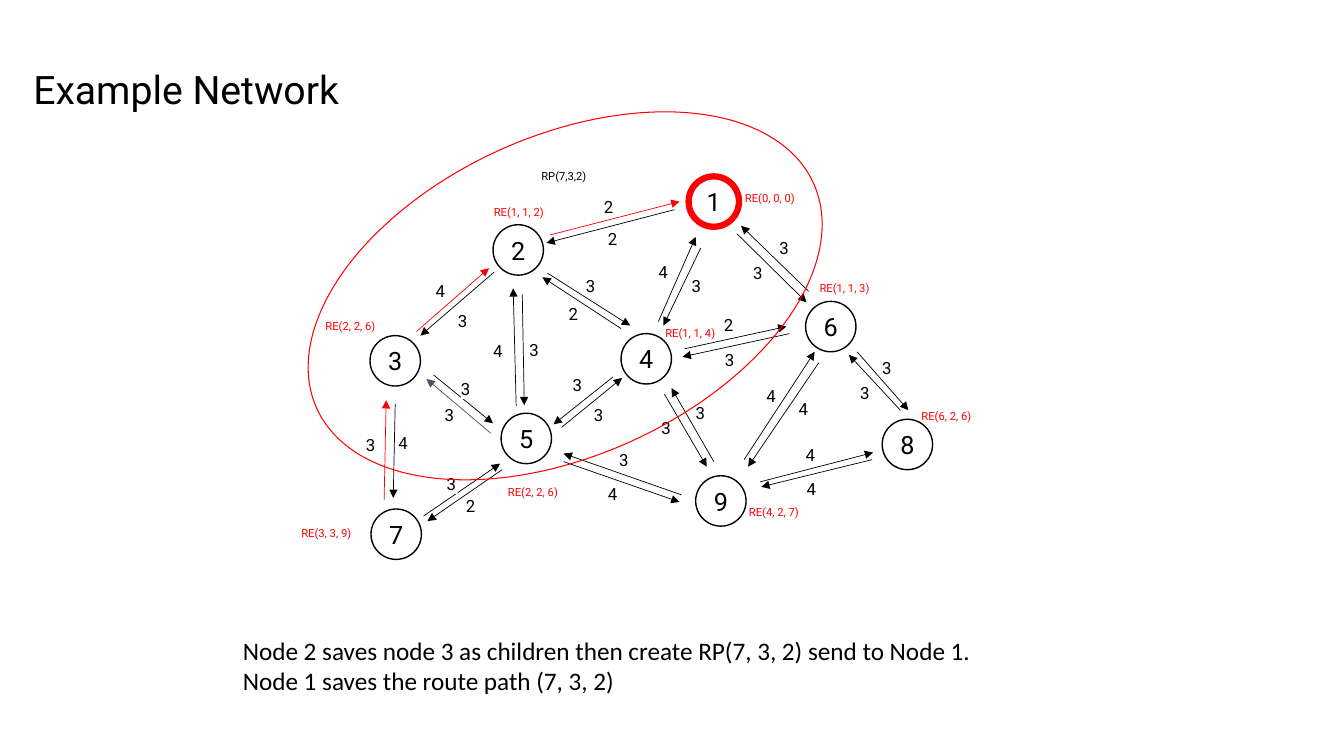
from dataclasses import dataclass

from lxml.etree import SubElement
from pptx import Presentation
from pptx.dml.color import RGBColor
from pptx.enum.shapes import MSO_CONNECTOR, MSO_SHAPE
from pptx.enum.text import MSO_ANCHOR, MSO_AUTO_SIZE, PP_ALIGN
from pptx.oxml.ns import qn
from pptx.util import Inches, Pt


@dataclass(frozen=True)
class Theme:
    """Colours, fonts and type sizes of the slide."""
    black: str = "000000"
    white: str = "FFFFFF"
    red: str = "FF0000"
    slate: str = "44546A"
    font: str = "Roboto"
    note_font: str = "Calibri"
    title_size: int = 28
    body_size: int = 18
    weight_size: int = 12
    route_size: int = 8


THEME = Theme()
NODE_SIZE = 0.5
ROOT = "1"

NODES = {
    "1": (6.83, 1.75), "2": (4.89, 2.23), "3": (3.67, 3.33),
    "4": (6.16, 3.31), "5": (4.97, 4.10), "6": (7.99, 2.99),
    "7": (3.68, 5.05), "8": (8.75, 4.16), "9": (6.90, 4.72),
}

# Link: (start, tip, weight, position of the weight)
LINKS = {
    "2>1": ((5.46, 2.33), (6.74, 2.00), 2, (5.99, 1.95)),
    "1>2": ((6.69, 2.08), (5.42, 2.41), 2, (6.03, 2.27)),
    "3>2": ((4.13, 3.29), (4.85, 2.66), 4, (4.32, 2.79)),
    "2>3": ((4.90, 2.70), (4.17, 3.33), 3, (4.54, 3.08)),
    "7>3": ((3.81, 4.96), (3.83, 3.97), 3, (3.63, 4.31)),
    "3>7": ((3.92, 4.01), (3.90, 4.94), 4, (3.95, 4.29)),
    "5>3": ((4.87, 4.30), (4.23, 3.76), 3, (4.41, 4.02)),
    "3>5": ((4.30, 3.72), (4.89, 4.20), 3, (4.57, 3.76)),
    "2>4": ((5.43, 2.71), (6.25, 3.23), 3, (5.81, 2.74)),
    "4>2": ((6.16, 3.26), (5.38, 2.75), 2, (5.64, 3.01)),
    "4>1": ((6.53, 3.19), (6.90, 2.35), 4, (6.53, 2.60)),
    "1>4": ((6.95, 2.46), (6.58, 3.23), 3, (6.86, 2.74)),
    "1>6": ((7.31, 2.32), (8.00, 3.00), 3, (7.47, 2.61)),
    "6>1": ((8.02, 2.89), (7.35, 2.24), 3, (7.73, 2.36)),
    "4>5": ((6.08, 3.74), (5.49, 4.21), 3, (5.68, 3.72)),
    "5>4": ((5.57, 4.24), (6.17, 3.75), 3, (5.89, 4.02)),
    "4>6": ((6.79, 3.46), (7.80, 3.24), 2, (7.18, 3.12)),
    "6>4": ((7.83, 3.31), (6.77, 3.54), 3, (7.19, 3.47)),
    "6>8": ((8.50, 3.49), (9.01, 4.07), 3, (8.75, 3.55)),
    "8>6": ((8.93, 4.07), (8.42, 3.52), 3, (8.53, 3.80)),
    "8>9": ((8.65, 4.56), (7.55, 4.83), 4, (8.00, 4.75)),
    "9>8": ((7.54, 4.78), (8.66, 4.49), 4, (7.99, 4.41)),
    "9>4": ((7.08, 4.58), (6.66, 3.85), 3, (6.90, 4.00)),
    "4>9": ((6.59, 3.91), (7.01, 4.63), 3, (6.56, 4.14)),
    "9>5": ((6.76, 4.91), (5.59, 4.50), 3, (6.14, 4.46)),
    "5>9": ((5.59, 4.58), (6.74, 4.98), 4, (6.03, 4.80)),
    "7>5": ((4.20, 5.12), (4.96, 4.60), 3, (4.43, 4.70)),
    "5>7": ((4.98, 4.66), (4.24, 5.17), 2, (4.62, 4.92)),
    "9>6": ((7.38, 4.56), (8.08, 3.49), 4, (7.60, 3.83)),
    "6>9": ((8.12, 3.60), (7.42, 4.63), 4, (7.92, 3.96)),
    "5>2": ((5.12, 4.03), (5.09, 2.86), 4, (4.89, 3.38)),
    "2>5": ((5.18, 2.92), (5.20, 4.02), 3, (5.25, 3.37)),
}
LINK_COLORS = {"2>1": THEME.red, "3>2": THEME.red, "7>3": THEME.red,
               "5>3": THEME.slate}

ROUTE_ENTRIES = [
    ("RE(0, 0, 0)", 7.29, 1.84), ("RE(1, 1, 2)", 4.80, 1.98),
    ("RE(2, 2, 6)", 3.13, 3.11), ("RE(1, 1, 4)", 6.50, 3.18),
    ("RE(2, 2, 6)", 4.94, 4.76), ("RE(1, 1, 3)", 8.03, 2.74),
    ("RE(3, 3, 9)", 2.89, 5.17), ("RE(6, 2, 6)", 9.04, 4.01),
    ("RE(4, 2, 7)", 7.33, 4.96),
]
NOTES = [
    "Node 2 saves node 3 as children then create RP(7, 3, 2) send to Node 1.",
    "Node 1 saves the route path (7, 3, 2)",
]


def write_text(shape, *lines, size, color=THEME.black, font=THEME.font,
               align=PP_ALIGN.LEFT, anchor=MSO_ANCHOR.MIDDLE,
               wrap=False, fit=True, inset=None):
    """Fill a shape with one formatted paragraph per line."""
    frame = shape.text_frame
    frame.word_wrap = wrap
    frame.auto_size = MSO_AUTO_SIZE.SHAPE_TO_FIT_TEXT if fit else MSO_AUTO_SIZE.NONE
    frame.vertical_anchor = anchor
    if inset is not None:
        frame.margin_left = frame.margin_right = Inches(inset)
        frame.margin_top = frame.margin_bottom = Inches(inset)
    for index, line in enumerate(lines):
        para = frame.add_paragraph() if index else frame.paragraphs[0]
        para.alignment = align
        span = para.add_run()
        span.text = line
        span.font.size = Pt(size)
        span.font.name = font
        span.font.color.rgb = RGBColor.from_string(color)


def add_box(page, left, top, width, height):
    """Add an empty text box."""
    return page.shapes.add_textbox(
        Inches(left), Inches(top), Inches(width), Inches(height))


def add_preset(page, kind, left, top, width, height,
               fill=None, line=None, line_width=1):
    """Add a preset shape without shadow."""
    shape = page.shapes.add_shape(
        kind, Inches(left), Inches(top), Inches(width), Inches(height))
    shape.shadow.inherit = False
    if fill:
        shape.fill.solid()
        shape.fill.fore_color.rgb = RGBColor.from_string(fill)
    else:
        shape.fill.background()
    if line:
        shape.line.color.rgb = RGBColor.from_string(line)
        shape.line.width = Pt(line_width)
    else:
        shape.line.fill.background()
    return shape


def add_node(page, name, left, top):
    """Add a numbered network node; the root has a thick red ring."""
    color, width = (THEME.red, 4.5) if name == ROOT else (THEME.black, 1)
    node = add_preset(page, MSO_SHAPE.OVAL, left, top, NODE_SIZE, NODE_SIZE,
                      THEME.white, color, width)
    write_text(node, name, size=THEME.body_size, align=PP_ALIGN.CENTER,
               fit=False, inset=0)


def add_arrow(page, start, tip, color):
    """Add a thin arrow that points at its tip."""
    arrow = page.shapes.add_connector(
        MSO_CONNECTOR.STRAIGHT, *(Inches(value) for value in start + tip))
    arrow.line.width = Pt(0.5)
    arrow.line.color.rgb = RGBColor.from_string(color)
    SubElement(arrow.line._get_or_add_ln(), qn("a:tailEnd"), type="triangle")
    SubElement(arrow._element.spPr, qn("a:effectLst"))


def add_weight(page, weight, left, top):
    """Add the weight of a link on a white patch."""
    patch = add_preset(page, MSO_SHAPE.RECTANGLE, left, top, 0.11, 0.2, THEME.white)
    write_text(patch, str(weight), size=THEME.weight_size, inset=0)


def add_title(page, text):
    """Move and fill the title placeholder."""
    title = page.shapes.title
    title.left, title.top = Inches(0.23), Inches(0.6)
    title.width, title.height = Inches(3.67), Inches(0.57)
    write_text(title, text, size=THEME.title_size)


def main():
    """Build the network slide."""
    deck = Presentation()
    deck.slide_width, deck.slide_height = Inches(13.33), Inches(7.5)
    page = deck.slides.add_slide(deck.slide_layouts.get_by_name("Title Only"))
    add_title(page, "Example Network")
    for name, corner in NODES.items():
        add_node(page, name, *corner)
    for name, (start, tip, _, _) in LINKS.items():
        add_arrow(page, start, tip, LINK_COLORS.get(name, THEME.black))
    for _, _, weight, corner in LINKS.values():
        add_weight(page, weight, *corner)
    region = add_preset(page, MSO_SHAPE.OVAL, 4.02, 0.23, 3.17, 5.41,
                        line=THEME.red, line_width=0.75)
    region.rotation = 65.6
    write_text(add_box(page, 5.27, 1.63, 0.75, 0.24), "RP(7,3,2)",
               size=THEME.route_size)
    for entry, left, top in ROUTE_ENTRIES:
        write_text(add_box(page, left, top, 0.83, 0.24), entry,
                   size=THEME.route_size, color=THEME.red)
    write_text(add_box(page, 2.31, 6.25, 8.26, 0.71), *NOTES,
               size=THEME.body_size, font=THEME.note_font,
               anchor=MSO_ANCHOR.TOP, wrap=True)
    deck.save("out.pptx")


main()
